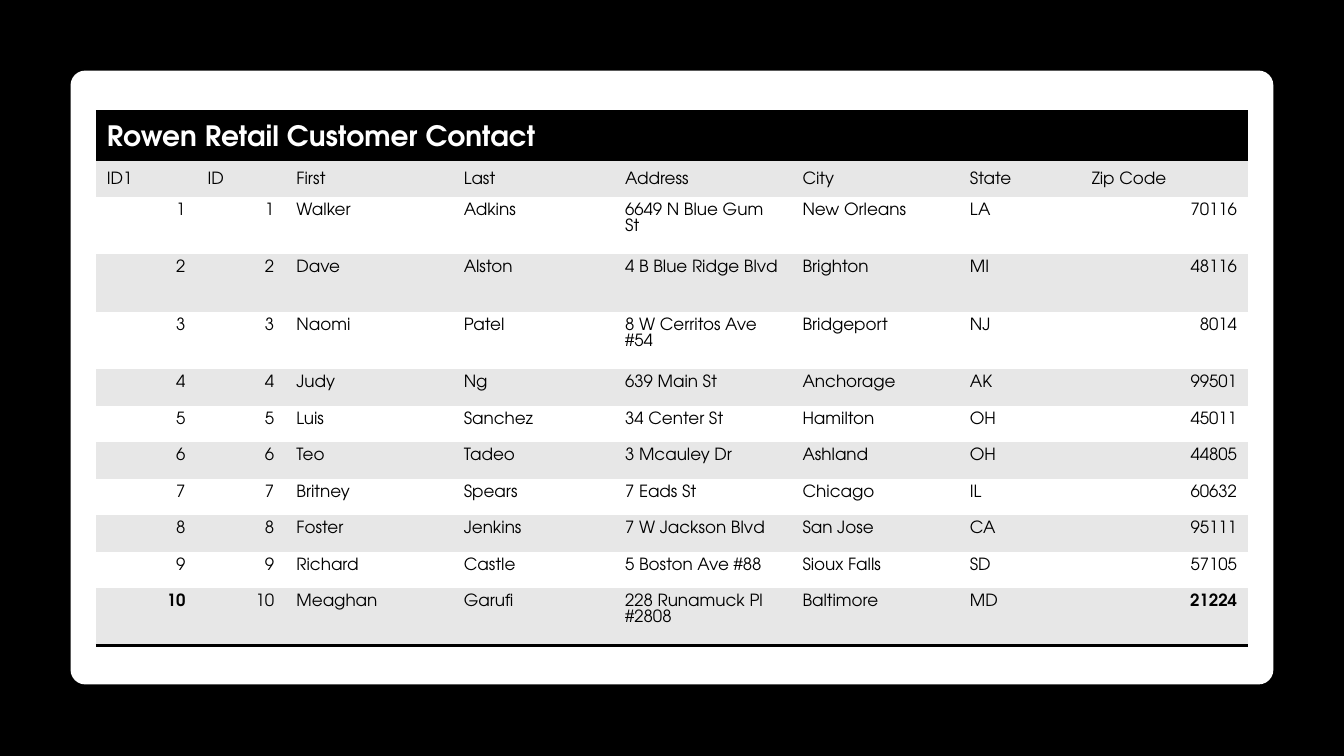
from lxml import etree
from pptx import Presentation, util as u
from pptx.dml.color import RGBColor
from pptx.enum import shapes, text
from pptx.oxml.ns import qn

BLACK = RGBColor(0x00, 0x00, 0x00)
WHITE = RGBColor(0xFF, 0xFF, 0xFF)
BAND = RGBColor(0xE7, 0xE7, 0xE7)

TITLE = "Rowen Retail Customer Contact"
HEADINGS = ("ID1", "ID", "First", "Last", "Address", "City", "State", "Zip Code")
CUSTOMERS = (
    ("Walker", "Adkins", "6649 N Blue Gum St", "New Orleans", "LA", "70116"),
    ("Dave", "Alston", "4 B Blue Ridge Blvd", "Brighton", "MI", "48116"),
    ("Naomi", "Patel", "8 W Cerritos Ave #54", "Bridgeport", "NJ", "8014"),
    ("Judy", "Ng", "639 Main St", "Anchorage", "AK", "99501"),
    ("Luis", "Sanchez", "34 Center St", "Hamilton", "OH", "45011"),
    ("Teo", "Tadeo", "3 Mcauley Dr", "Ashland", "OH", "44805"),
    ("Britney", "Spears", "7 Eads St", "Chicago", "IL", "60632"),
    ("Foster", "Jenkins", "7 W Jackson Blvd", "San Jose", "CA", "95111"),
    ("Richard", "Castle", "5 Boston Ave #88", "Sioux Falls", "SD", "57105"),
    ("Meaghan", "Garufi", "228 Runamuck Pl #2808", "Baltimore", "MD", "21224"),
)
COLUMN_WIDTHS = (1, 0.88, 1.66, 1.6, 1.76, 1.66, 1.21, 1.66)
TITLE_HEIGHT, SHORT, TALL = 0.49, 0.3625, 0.57
TALL_CUSTOMERS = (1, 2, 3, 10)
NUMBER_COLUMNS = (0, 1, 7)


class ContactSlide:
    """Holds the style and the current slide, and draws its elements."""

    font = "TeX Gyre Adventor"
    width, height = 13.33, 7.5

    def __init__(self, deck):
        deck.slide_width, deck.slide_height = u.Inches(self.width), u.Inches(self.height)
        self.slide = deck.slides.add_slide(deck.slide_layouts[6])
        self.slide.background.fill.solid()
        self.slide.background.fill.fore_color.rgb = BLACK

    def area(self, left, top, width, height):
        across, down = u.Inches(self.width), u.Inches(self.height)
        return [round(share * side) for share, side in
                zip((left, top, width, height), (across, down, across, down))]

    def card(self, *shares, corner):
        card = self.slide.shapes.add_shape(
            shapes.MSO_SHAPE.ROUNDED_RECTANGLE, *self.area(*shares))
        card.adjustments[0] = corner
        card.shadow.inherit = False
        card.fill.solid()
        card.fill.fore_color.rgb = WHITE
        card.line.fill.background()

    def table(self, *shares, widths, heights):
        grid = self.slide.shapes.add_table(
            len(heights), len(widths), *self.area(*shares)).table
        for column, width in zip(grid.columns, widths):
            column.width = u.Inches(width)
        for row, height in zip(grid.rows, heights):
            row.height = u.Inches(height)
        return grid

    def cell(self, cell, words, fill, color=BLACK, size=12, pitch=11.4,
             bold=False, right=False, middle=False, edges=()):
        cell.margin_left = cell.margin_right = u.Inches(0.11)
        cell.margin_top = cell.margin_bottom = u.Inches(0.06)
        cell.vertical_anchor = text.MSO_ANCHOR.MIDDLE if middle else text.MSO_ANCHOR.TOP
        cell.text_frame.text = words
        paragraph = cell.text_frame.paragraphs[0]
        paragraph.alignment = text.PP_ALIGN.RIGHT if right else text.PP_ALIGN.LEFT
        paragraph.line_spacing = u.Pt(pitch)
        for run in paragraph.runs:
            run.font.name, run.font.size, run.font.bold = self.font, u.Pt(size), bold
            run.font.color.rgb = color
        self.borders(cell, edges)
        cell.fill.solid()
        cell.fill.fore_color.rgb = fill

    def borders(self, cell, edges):
        properties = cell._tc.get_or_add_tcPr()
        for edge in ("lnL", "lnR", "lnT", "lnB"):
            line = etree.SubElement(properties, qn(f"a:{edge}"))
            if edge in edges:
                line.set("w", str(u.Pt(2)))
                paint = etree.SubElement(line, qn("a:solidFill"))
                etree.SubElement(paint, qn("a:srgbClr")).set("val", str(BLACK))
            else:
                line.set("w", "0")
                etree.SubElement(line, qn("a:noFill"))


def main():
    deck = Presentation()
    page = ContactSlide(deck)
    page.card(0.7 / 13.33, 0.7 / 7.5, 11.93 / 13.33, 6.09 / 7.5, corner=0.024)

    customer_heights = [TALL if number in TALL_CUSTOMERS else SHORT
                        for number in range(1, len(CUSTOMERS) + 1)]
    contacts = page.table(0.95 / 13.33, 1.1 / 7.5, 11.43 / 13.33, 5.31 / 7.5,
                          widths=COLUMN_WIDTHS,
                          heights=[TITLE_HEIGHT, SHORT, *customer_heights])

    last_column = len(HEADINGS) - 1
    contacts.cell(0, 0).merge(contacts.cell(0, last_column))
    for column, heading in enumerate(HEADINGS):
        page.cell(contacts.cell(0, column), "" if column else TITLE, BLACK, WHITE,
                  size=20, pitch=23, bold=True, middle=True, edges=("lnT", "lnB"))
        page.cell(contacts.cell(1, column), heading, BAND, pitch=13.7, middle=True)

    for number, customer in enumerate(CUSTOMERS, 1):
        last = number == len(CUSTOMERS)
        for column, words in enumerate((str(number), str(number), *customer)):
            page.cell(contacts.cell(number + 1, column), words,
                      WHITE if number % 2 else BAND,
                      bold=last and column in (0, last_column),
                      right=column in NUMBER_COLUMNS,
                      edges=("lnB",) if last else ())
    deck.save("out.pptx")


if __name__ == "__main__":
    main()
